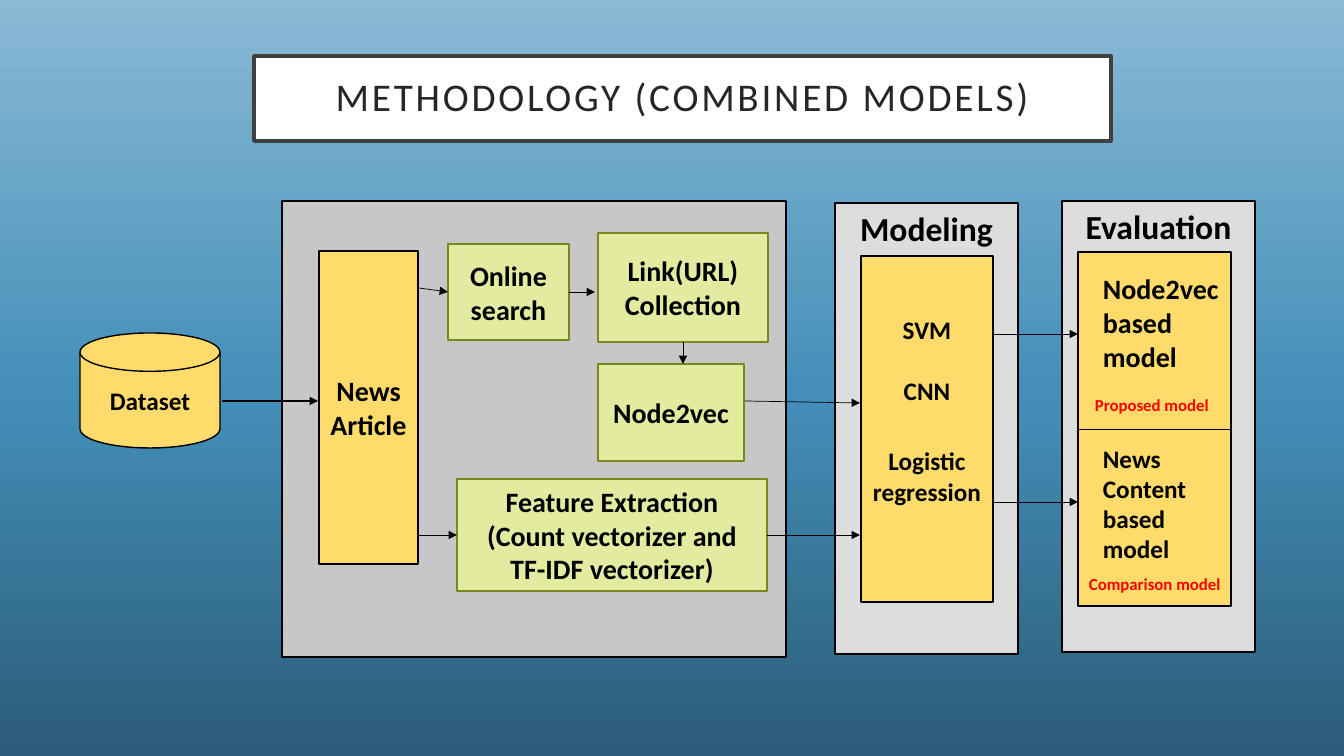
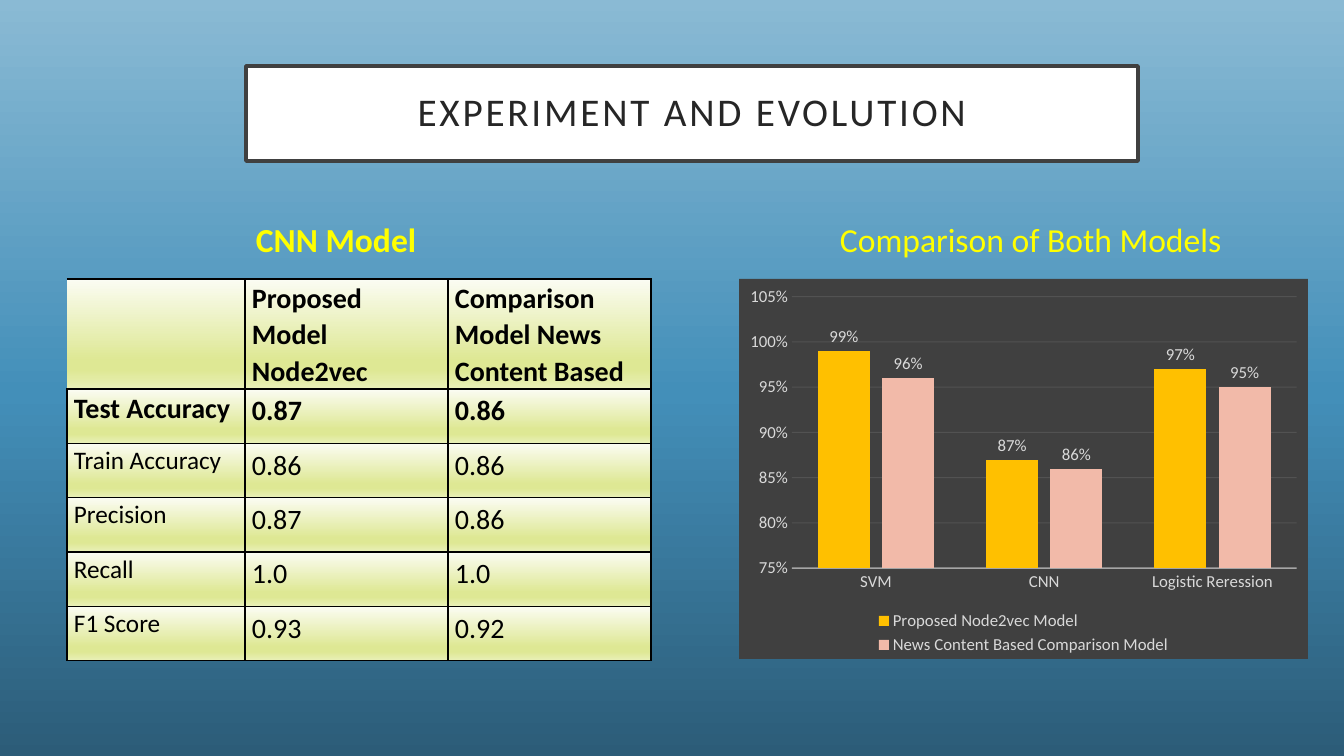
from pptx import Presentation
from pptx.chart.data import CategoryChartData
from pptx.dml.color import RGBColor
from pptx.enum.chart import XL_CHART_TYPE, XL_LABEL_POSITION, XL_LEGEND_POSITION, XL_TICK_MARK
from pptx.enum.shapes import MSO_CONNECTOR, MSO_SHAPE
from pptx.enum.text import MSO_ANCHOR, MSO_AUTO_SIZE, PP_ALIGN
from pptx.oxml import parse_xml
from pptx.oxml.ns import nsdecls, qn
from pptx.util import Emu, Pt

RECT, DISK = MSO_SHAPE.RECTANGLE, MSO_SHAPE.FLOWCHART_MAGNETIC_DISK
STRAIGHT = MSO_CONNECTOR.STRAIGHT
TOP, MIDDLE = MSO_ANCHOR.TOP, MSO_ANCHOR.MIDDLE
LEFT, CENTER = PP_ALIGN.LEFT, PP_ALIGN.CENTER
NO_FIT = MSO_AUTO_SIZE.NONE
COLUMNS = XL_CHART_TYPE.COLUMN_CLUSTERED
OUTSIDE = XL_LABEL_POSITION.OUTSIDE_END
BOTTOM = XL_LEGEND_POSITION.BOTTOM
NO_TICK = XL_TICK_MARK.NONE
SIDE_LEFT, SIDE_BOTTOM, SIDE_RIGHT = 1, 2, 3

FONT = "Calibri"
COLORS = {
    "black": "000000", "white": "FFFFFF", "red": "FF0000", "yellow": "FFFF00",
    "title": "262626", "frame": "404040", "panel": "DDDDDD", "stage": "C7C7C7",
    "gold": "FEDB6A", "lime": "E2EBA0", "olive": "7B871D",
    "chart": "404040", "chart_text": "D9D9D9", "rule": "F2F2F2",
    "proposed": "FFC000", "comparison": "F2BAA9",
}
SKY = [(0, "2C5C78"), (48, "438FB9"), (100, "8ABAD4")]
CELL = [(0, "FBFCF3"), (74, "DEE894"), (83, "DEE894"), (100, "E9F0B8")]


def px(n):
    return Emu(round(n * 12192000 / 1344))


def rgb(name):
    return RGBColor.from_string(COLORS[name])


def gradient(stops, angle):
    gs = "".join(f'<a:gs pos="{pos * 1000}"><a:srgbClr val="{c}"/></a:gs>' for pos, c in stops)
    return parse_xml(f'<a:gradFill {nsdecls("a")} rotWithShape="1"><a:gsLst>{gs}</a:gsLst>'
                     f'<a:lin ang="{angle * 60000}" scaled="0"/></a:gradFill>')


def set_alpha(el, percent):
    """Make the first colour found inside el partly transparent."""
    clr = next(el.iter(qn("a:srgbClr")))
    clr.append(parse_xml(f'<a:alpha {nsdecls("a")} val="{percent * 1000}"/>'))


def set_font(font, size, color="black", bold=False):
    font.name, font.size, font.bold = FONT, Pt(size), bold
    font.color.rgb = rgb(color)


class Deck:
    """Shared style plus the slide being filled."""

    def __init__(self):
        self.prs = Presentation()
        self.prs.slide_width, self.prs.slide_height = px(1344), px(756)
        master = self.prs.slide_master
        master.background.fill.gradient()
        old = next(master.element.iter(qn("a:gradFill")))
        old.getparent().replace(old, gradient(SKY, 270))

    def paint(self, sp, fill, line, width):
        sp.fill.solid()
        sp.fill.fore_color.rgb = rgb(fill)
        sp.line.color.rgb = rgb(line)
        sp.line.width = Pt(width)

    def put_lines(self, tf, lines, size, color="black", bold=True, align=CENTER):
        tf.word_wrap = True
        for i, text in enumerate(lines):
            p = tf.add_paragraph() if i else tf.paragraphs[0]
            p.text, p.alignment = text, align
            set_font(p.font, size, color, bold)

    def slide(self, title, x, y, w, h):
        self.s = self.prs.slides.add_slide(self.prs.slide_layouts[5])
        sp = self.s.shapes.title
        sp.left, sp.top, sp.width, sp.height = map(px, (x, y, w, h))
        self.paint(sp, "white", "frame", 2.5)
        tf = sp.text_frame
        self.put_lines(tf, [title], 28, "title", bold=False)
        tf.auto_size, tf.vertical_anchor = NO_FIT, MIDDLE
        tf.margin_left = tf.margin_right = tf.margin_top = tf.margin_bottom = px(20)
        p = tf.paragraphs[0]
        p.line_spacing = 0.9
        next(p._p.iter(qn("a:defRPr"))).set("spc", "200")

    def box(self, x, y, w, h, lines=(), fill="gold", line="black", size=20,
            anchor=MIDDLE, shape=RECT):
        sp = self.s.shapes.add_shape(shape, px(x), px(y), px(w), px(h))
        sp.shadow.inherit = False
        self.paint(sp, fill, line, 1)
        sp.text_frame.vertical_anchor = anchor
        self.put_lines(sp.text_frame, lines, size)
        return sp

    def panel(self, x, y, w, h, heading):
        return self.box(x, y, w, h, [heading], "panel", size=24, anchor=TOP)

    def step(self, x, y, w, h, *lines):
        return self.box(x, y, w, h, lines, "lime", "olive")

    def text(self, x, y, w, h, text, size, color="black", bold=True):
        tf = self.s.shapes.add_textbox(px(x), px(y), px(w), px(h)).text_frame
        self.put_lines(tf, [text], size, color, bold, LEFT)

    def line(self, x1, y1, x2, y2, begin=None, end=None, width=0.5, arrow=True):
        """Draw a line; begin and end are optional (shape, side) joints."""
        c = self.s.shapes.add_connector(STRAIGHT, px(x1), px(y1), px(x2), px(y2))
        if begin:
            c.begin_connect(*begin)
        if end:
            c.end_connect(*end)
        c.line.color.rgb = rgb("black")
        c.line.width = Pt(width)
        sp_pr = c._element.spPr
        if arrow:
            sp_pr.find(qn("a:ln")).append(parse_xml(f'<a:tailEnd {nsdecls("a")} type="triangle"/>'))
        sp_pr.append(parse_xml(f'<a:effectLst {nsdecls("a")}/>'))

    def cell(self, cell, lines, size, bold, spacing, after, sides):
        cell.margin_left = cell.margin_right = px(7)
        cell.margin_top = cell.margin_bottom = 0
        self.put_lines(cell.text_frame, lines, size, bold=bold, align=LEFT)
        for p in cell.text_frame.paragraphs:
            p.line_spacing, p.space_after = spacing, Pt(after)
        tc_pr = cell._tc.get_or_add_tcPr()
        for side in "LRTB":
            fill = ('<a:solidFill><a:srgbClr val="000000"/></a:solidFill>'
                    if side in sides else "<a:noFill/>")
            tc_pr.append(parse_xml(f'<a:ln{side} {nsdecls("a")} w="12700">{fill}</a:ln{side}>'))
        tc_pr.append(gradient(CELL, 90))

    def table(self, x, y, widths, head_h, body_h, rows):
        """Fill a table whose row 1 is bold; body_h is shared by the rows below the head."""
        frame = self.s.shapes.add_table(len(rows), len(widths), px(x), px(y),
                                        px(sum(widths)), px(head_h + body_h))
        t = frame.table
        t.first_row = t.horz_banding = False
        for col, w in zip(t.columns, widths):
            col.width = px(w)
        for i, row in enumerate(rows):
            t.rows[i].height = px(body_h / (len(rows) - 1)) if i else px(head_h)
            for j, text in enumerate(row):
                value = i > 0 and j > 0
                self.cell(t.cell(i, j), text.split("\n"),
                          size=18 if i > 1 and j == 0 else 20, bold=i < 2,
                          spacing=1.15 if value else 1.07, after=10 if value else 0,
                          sides="LRTB" if i or j else "RTB")

    def chart(self, x, y, w, h, cats, series):
        data = CategoryChartData(number_format="0%")
        data.categories = cats
        for name, values, _ in series:
            data.add_series(name, values)
        chart = self.s.shapes.add_chart(COLUMNS, px(x), px(y), px(w), px(h), data).chart
        chart.has_title = False
        chart._chartSpace.find(qn("c:chart")).addnext(parse_xml(
            f'<c:spPr {nsdecls("c", "a")}><a:solidFill><a:srgbClr val="{COLORS["chart"]}"/>'
            '</a:solidFill><a:ln><a:noFill/></a:ln></c:spPr>'))
        set_font(chart.font, 10)
        chart.has_legend = True
        chart.legend.position, chart.legend.include_in_layout = BOTTOM, False
        set_font(chart.legend.font, 12, "chart_text")

        cat, val = chart.category_axis, chart.value_axis
        val.minimum_scale, val.maximum_scale, val.major_unit = 0.75, 1.05, 0.05
        val.has_major_gridlines = True
        for axis, line, width, alpha in ((cat, cat.format.line, 1, 54),
                                         (val, val.major_gridlines.format.line, 0.75, 10)):
            line.color.rgb, line.width = rgb("rule"), Pt(width)
            set_alpha(axis._element, alpha)
            axis.major_tick_mark = axis.minor_tick_mark = NO_TICK
            set_font(axis.tick_labels.font, 12, "chart_text")
        val.format.line.fill.background()
        val.tick_labels.number_format = "0%"
        val.tick_labels.number_format_is_linked = False

        plot = chart.plots[0]
        plot.gap_width, plot.overlap, plot.vary_by_categories = 100, -24, False
        for ser, (_, _, color) in zip(plot.series, series):
            ser.format.fill.solid()
            ser.format.fill.fore_color.rgb = rgb(color)
            labels = ser.data_labels
            labels.show_value, labels.position = True, OUTSIDE
            labels.number_format, labels.number_format_is_linked = "0%", False
            set_font(labels.font, 12, "chart_text")


def methodology(d):
    d.slide("METHODOLOGY (COMBINED MODELS)", 254, 56, 857, 85)
    d.panel(1062, 201, 193, 451, "Evaluation")
    d.panel(835, 203, 183, 451, "Modeling")
    d.box(282, 201, 504, 456, fill="stage")

    d.box(80, 333, 140, 115, ["Dataset"], size=18, shape=DISK)
    d.box(319, 251, 99, 313, ["News Article"])
    search = d.step(448, 244, 121, 96, "Online search")
    links = d.step(598, 233, 170, 109, "Link(URL)", "Collection")
    d.step(598, 364, 146, 97, "Node2vec")
    features = d.step(457, 479, 310, 112,
                      "Feature Extraction (Count vectorizer and TF-IDF vectorizer)")

    models = d.box(861, 256, 132, 346, ["SVM", "CNN", "Logistic regression"], size=18)
    models.text_frame.margin_bottom = px(43)
    for p, gap in zip(models.text_frame.paragraphs, (0, 22, 29)):
        p.space_before = Pt(gap)

    results = d.box(1078, 252, 153, 354)
    d.line(1078, 429, 1231, 429, (results, SIDE_LEFT), (results, SIDE_RIGHT), arrow=False)
    d.text(1093, 267, 138, 142, "Node2vec based model", 20)
    d.text(1085, 390, 147, 30, "Proposed model", 12, "red")
    d.text(1093, 438, 123, 132, "News Content based model", 18)
    d.text(1079, 569, 161, 30, "Comparison model", 12, "red")

    d.line(222, 401, 318, 401, width=1)
    d.line(419, 288, 448, 292, end=(search, SIDE_LEFT))
    d.line(419, 535, 457, 535, end=(features, SIDE_LEFT))
    d.line(569, 292, 595, 292, begin=(search, SIDE_RIGHT))
    d.line(683, 342, 683, 364, begin=(links, SIDE_BOTTOM))
    d.line(745, 401, 860, 403)
    d.line(767, 535, 860, 535, begin=(features, SIDE_RIGHT))
    for y in (334, 502):
        d.line(993, y, 1078, y)


def experiment(d):
    d.slide("EXPERIMENT AND EVOLUTION", 246, 66, 892, 95)
    d.text(246, 214, 253, 50, "CNN Model", 24, "yellow")
    d.table(67, 279, (178, 203, 203), 110, 272, [
        ("", "Proposed Model\nNode2vec", "Comparison Model News Content Based"),
        ("Test Accuracy", "0.87", "0.86"),
        ("Train Accuracy", "0.86", "0.86"),
        ("Precision", "0.87", "0.86"),
        ("Recall", "1.0", "1.0"),
        ("F1 Score", "0.93", "0.92"),
    ])
    d.text(830, 214, 414, 50, "Comparison of Both Models", 24, "yellow", bold=False)
    d.chart(739, 279, 569, 380, ("SVM", "CNN", "Logistic Reression"), [
        ("Proposed Node2vec Model", (0.99, 0.87, 0.97), "proposed"),
        ("News Content Based Comparison Model", (0.96, 0.86, 0.95), "comparison"),
    ])


def main():
    d = Deck()
    methodology(d)
    experiment(d)
    d.prs.save("out.pptx")


if __name__ == "__main__":
    main()
